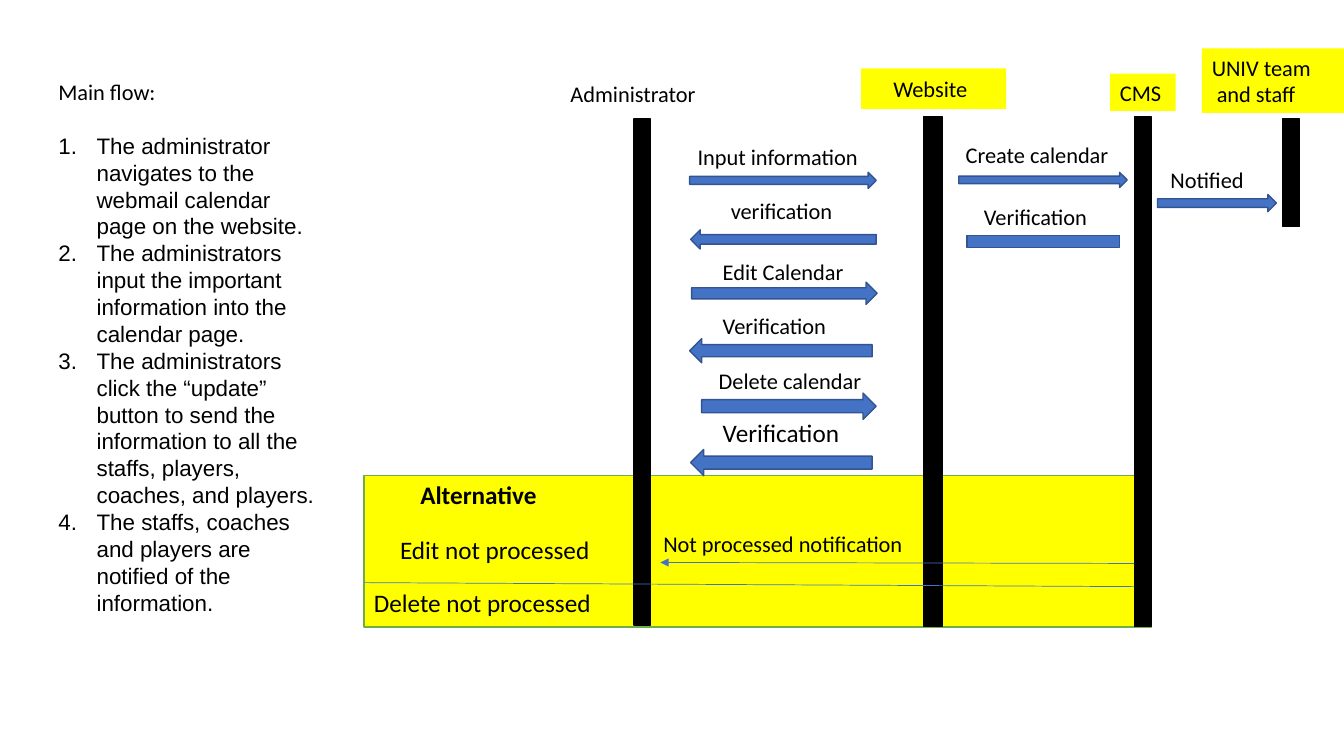
from lxml.etree import SubElement
from pptx import Presentation
from pptx.dml.color import RGBColor
from pptx.enum.shapes import MSO_CONNECTOR, MSO_SHAPE
from pptx.enum.text import MSO_ANCHOR, PP_ALIGN
from pptx.oxml.ns import qn
from pptx.util import Inches, Pt

RIGHT, LEFT = MSO_SHAPE.RIGHT_ARROW, MSO_SHAPE.LEFT_ARROW
MINUS, RECT = MSO_SHAPE.MATH_MINUS, MSO_SHAPE.RECTANGLE


def tint(code):
    """Turn a hex string into a colour."""
    return RGBColor.from_string(code)


def cell(count):
    """Turn a count of grid columns or rows, ten to the inch, into a length."""
    return Inches(count / 10)


def write(para, text, size=16, font="Calibri", color="000000", bold=False,
          hang=0, number=False, lead=None, after=0):
    """Fill a paragraph with formatted text."""
    para.text = text
    para.alignment = PP_ALIGN.LEFT
    para.space_after = Pt(after)
    if lead:
        para.line_spacing = Pt(lead)
    for run in para.runs:
        run.font.size, run.font.name, run.font.bold = Pt(size), font, bold
        run.font.color.rgb = tint(color)
    if hang:
        props = para._p.get_or_add_pPr()
        props.set("marL", str(cell(hang)))
        props.set("indent", str(-cell(hang)))
        if number:
            SubElement(props, qn("a:buFont"), typeface="Arial")
            SubElement(props, qn("a:buAutoNum"), type="arabicPeriod")


class Chart:
    """Draw a sequence chart on one slide."""

    black, yellow, blue = "000000", "FFFF00", "4472C4"
    edge, green = "325491", "70AD47"

    def __init__(self, deck):
        """Add the slide to draw on."""
        self.slide = deck.slides.add_slide(deck.slide_layouts[6])

    def shape(self, kind, x, y, w, h, fill, line=None):
        """Add a filled preset shape."""
        item = self.slide.shapes.add_shape(kind, *map(cell, (x, y, w, h)))
        item.shadow.inherit = False
        item.fill.solid()
        item.fill.fore_color.rgb = tint(fill)
        if line:
            item.line.color.rgb = tint(line)
            item.line.width = Pt(1)
        else:
            item.line.fill.background()
        return item

    def label(self, text, x, y, w=24, h=3.7, **style):
        """Add a text box of one paragraph and return its frame."""
        frame = self.slide.shapes.add_textbox(*map(cell, (x, y, w, h))).text_frame
        frame.word_wrap = True
        write(frame.paragraphs[0], text, **style)
        return frame

    def head(self, text, x, y, w, h, pad=1, **style):
        """Add a yellow name plate."""
        frame = self.shape(RECT, x, y, w, h, self.yellow).text_frame
        frame.word_wrap = True
        frame.margin_left = cell(pad)
        frame.vertical_anchor = MSO_ANCHOR.MIDDLE
        write(frame.paragraphs[0], text, **style)

    def bar(self, x, y, w, h):
        """Add a black lifeline."""
        self.shape(RECT, x, y, w, h, self.black, self.black)

    def message(self, kind, place, text, x, y, size=16):
        """Add a block arrow and its label."""
        self.shape(kind, *place, self.blue, self.edge)
        self.label(text, x, y, w=18, size=size)

    def line(self, x, y, right, foot, tip=False):
        """Add a thin line, with an arrowhead if asked."""
        item = self.slide.shapes.add_connector(
            MSO_CONNECTOR.STRAIGHT, *map(cell, (x, y, right, foot)))
        item.line.color.rgb = tint(self.blue)
        item.line.width = Pt(0.5)
        if tip:
            SubElement(item.line._get_or_add_ln(), qn("a:tailEnd"), type="triangle")
        SubElement(item._element.spPr, qn("a:effectLst"))


STEPS = (
    "The administrator navigates to the webmail calendar page on the website.",
    "The administrators input the important information into the calendar page.",
    "The administrators click the “update” button to send the information to all "
    "the staffs, players, coaches, and players.",
    "The staffs, coaches and players are notified of the information.",
)
BARS = ((62.9, 11.8, 1.6, 50.2), (91.6, 11.6, 1.9, 50.5),
        (112.5, 11.6, 1.7, 50.5), (127.2, 11.8, 1.7, 10.7))
CALLS = (
    (RIGHT, (68.4, 17.1, 18.5, 1.6), "Input information", 68.2, 13.7),
    (LEFT, (68.5, 22.8, 18.4, 1.9), "verification", 71.5, 19.1),
    (RIGHT, (68.6, 28, 18.4, 2.2), "Edit Calendar", 70.7, 25.1),
    (LEFT, (68.4, 33.6, 18.1, 2.4), "Verification", 70.7, 30.5),
    (RIGHT, (69.6, 39, 17.3, 2.6), "Delete calendar", 70.3, 35.9),
    (LEFT, (68.5, 44.6, 18, 2.6), "Verification", 70.7, 40.9, 18),
    (RIGHT, (95.1, 17.1, 16.7, 1.5), "Create calendar", 94.8, 13.5),
    (MINUS, (93.2, 21.4, 20.6, 5.1), "Verification", 96.6, 19.7),
    (RIGHT, (114.8, 19.3, 11.8, 1.7), "Notified", 115.1, 16),
)
NOTES = (("Alternative", 40.7, 47.1, True), ("Edit not processed", 38.7, 52.5, False),
         ("Delete not processed", 36.1, 57.8, False))


def main():
    """Build the deck and save it."""
    deck = Presentation()
    deck.slide_width, deck.slide_height = Inches(13.33), Inches(7.5)
    chart = Chart(deck)
    chart.shape(RECT, 36.1, 47.2, 78.1, 15, chart.yellow, chart.green)
    flow = chart.label("Main flow:", 4.8, 7.3, 28.5, 57.9, lead=19.2, after=19)
    for step in STEPS:
        write(flow.add_paragraph(), step, font="Arial", hang=3.8, number=True, lead=19.2)
    for place in BARS:
        chart.bar(*place)
    for call in CALLS:
        chart.message(*call)
    for text, x, y, bold in NOTES:
        chart.label(text, x, y, h=4, size=18, bold=bold)
    chart.label("Not processed notification", 64.8, 52.1, 29.1)
    chart.line(36.1, 57.8, 112.5, 58.2)
    chart.line(112.5, 55.9, 65.5, 55.8, tip=True)
    chart.label("Administrator", 55.6, 7.5, 16.2)
    chart.head("Website", 85.4, 6.8, 14.4, 4, pad=3.2)
    chart.head("CMS", 110.1, 7.3, 6.5, 3.7)
    chart.head("UNIV team\vand staff", 119.2, 4.8, 14.1, 6.4, hang=0.5)
    deck.save("out.pptx")


if __name__ == "__main__":
    main()
